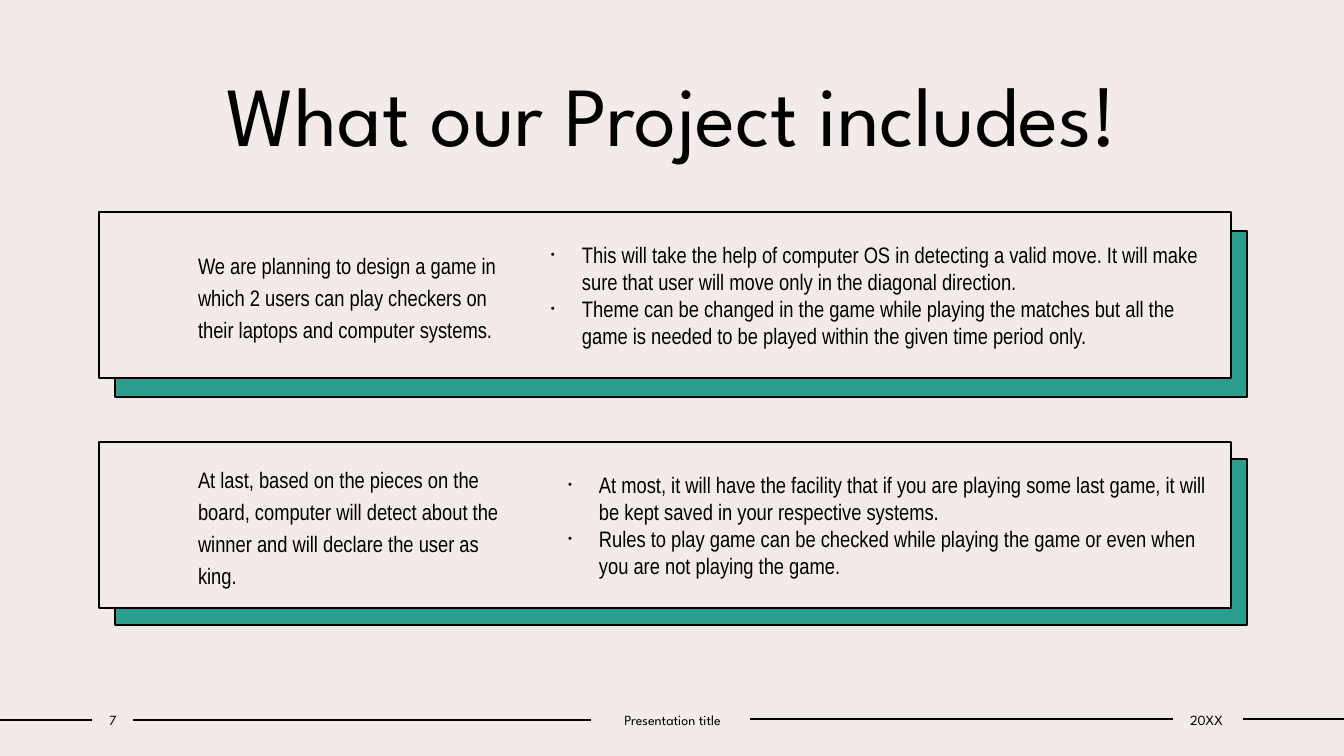
from lxml import etree
from pptx import Presentation
from pptx.dml.color import RGBColor
from pptx.enum.shapes import MSO_CONNECTOR, MSO_SHAPE
from pptx.enum.text import MSO_ANCHOR as Anchor, PP_ALIGN as Align
from pptx.oxml.ns import qn
from pptx.util import Emu, Pt

BLACK = RGBColor(0x00, 0x00, 0x00)
CREAM = RGBColor(0xF3, 0xEB, 0xE8)
TEAL = RGBColor(0x2A, 0x9D, 0x8F)
HEADING_FONT = "League Spartan"
BODY_FONT = "Arial Narrow"
EMU_PER_PX = 914400 / 100.8


def px(length):
    return Emu(round(length * EMU_PER_PX))


def write_text(shape, *texts, size=16, font=BODY_FONT, align=Align.LEFT,
               anchor=Anchor.MIDDLE, insets=(10, 5, 10, 5), spacing=1.0, bullets=False):
    frame = shape.text_frame
    frame.word_wrap = True
    frame.vertical_anchor = anchor
    (frame.margin_left, frame.margin_top,
     frame.margin_right, frame.margin_bottom) = map(px, insets)
    for index, text in enumerate(texts):
        paragraph = frame.add_paragraph() if index else frame.paragraphs[0]
        paragraph.alignment = align
        paragraph.line_spacing = spacing
        run = paragraph.add_run()
        run.text = text
        run.font.size = Pt(size)
        run.font.name = font
        run.font.color.rgb = BLACK
        if bullets:
            properties = paragraph._p.get_or_add_pPr()
            properties.set("marL", str(px(31)))
            properties.set("indent", str(-px(31)))
            etree.SubElement(properties, qn("a:buSzPct"), val="50000")
            etree.SubElement(properties, qn("a:buFont"), typeface="Arial")
            etree.SubElement(properties, qn("a:buChar"), char="•")


class SlideBuilder:
    def __init__(self, presentation):
        self.slide = presentation.slides.add_slide(presentation.slide_layouts[6])
        self.slide.background.fill.solid()
        self.slide.background.fill.fore_color.rgb = CREAM

    def box(self, left, top, width, height, fill):
        shape = self.slide.shapes.add_shape(
            MSO_SHAPE.RECTANGLE, px(left), px(top), px(width), px(height))
        shape.shadow.inherit = False
        shape.fill.solid()
        shape.fill.fore_color.rgb = fill
        shape.line.color.rgb = BLACK
        shape.line.width = Pt(2)
        return shape

    def text(self, left, top, width, height, *texts, **style):
        shape = self.slide.shapes.add_textbox(px(left), px(top), px(width), px(height))
        write_text(shape, *texts, **style)

    def rule(self, start, end, y):
        line = self.slide.shapes.add_connector(
            MSO_CONNECTOR.STRAIGHT, px(start), px(y), px(end), px(y))
        line.line.color.rgb = BLACK
        line.line.width = Pt(1)
        etree.SubElement(line._element.spPr, qn("a:effectLst"))


CARD_LEFT, CARD_WIDTH, CARD_HEIGHT = 99, 1132, 166
SHADOW_LEFT = 115
# Card top, shadow top, bullets left, bullets width, summary, bullets
CARDS = [
    (212, 231, 541, 677,
     "We are planning to design a game in which 2 users can play checkers on "
     "their laptops and computer systems.",
     ["This will take the help of computer OS in detecting a valid move. It will "
      "make sure that user will move only in the diagonal direction.",
      "Theme can be changed in the game while playing the matches but all the game "
      "is needed to be played within the given time period only."]),
    (442, 459, 558, 660,
     "At last, based on the pieces on the board, computer will detect about the "
     "winner and will declare the user as king.",
     ["At most, it will have the facility that if you are playing some last game, "
      "it will be kept saved in your respective systems.",
      "Rules to play game can be checked while playing the game or even when you "
      "are not playing the game."]),
]
FOOTER_RULES = [(0, 92, 720), (133, 591, 720), (750, 1173, 719), (1243, 1344, 719)]
FOOTER_TEXTS = [(93, 40, "7"), (592, 161, "Presentation title"), (1171, 71, "20XX")]


def main():
    presentation = Presentation()
    presentation.slide_width, presentation.slide_height = px(1344), px(756)
    builder = SlideBuilder(presentation)

    # Title
    builder.text(126, 56, 1093, 112, "What our Project includes!", size=60,
                 font=HEADING_FONT, align=Align.CENTER, anchor=Anchor.BOTTOM)

    # Cards with offset teal backing
    for top, shadow_top, bullets_left, bullets_width, summary, bullets in CARDS:
        builder.box(SHADOW_LEFT, shadow_top, CARD_WIDTH, CARD_HEIGHT, TEAL)
        card = builder.box(CARD_LEFT, top, CARD_WIDTH, CARD_HEIGHT, CREAM)
        write_text(card, summary, insets=(99, 5, 716, 5), spacing=1.2)
        builder.text(bullets_left, top + 10, bullets_width, CARD_HEIGHT - 20,
                     *bullets, bullets=True)

    # Footer
    for start, end, y in FOOTER_RULES:
        builder.rule(start, end, y)
    for left, width, label in FOOTER_TEXTS:
        builder.text(left, 706, width, 27, label, size=10, font=HEADING_FONT,
                     align=Align.CENTER, insets=(0, 5, 0, 5))

    presentation.save("out.pptx")


if __name__ == "__main__":
    main()
